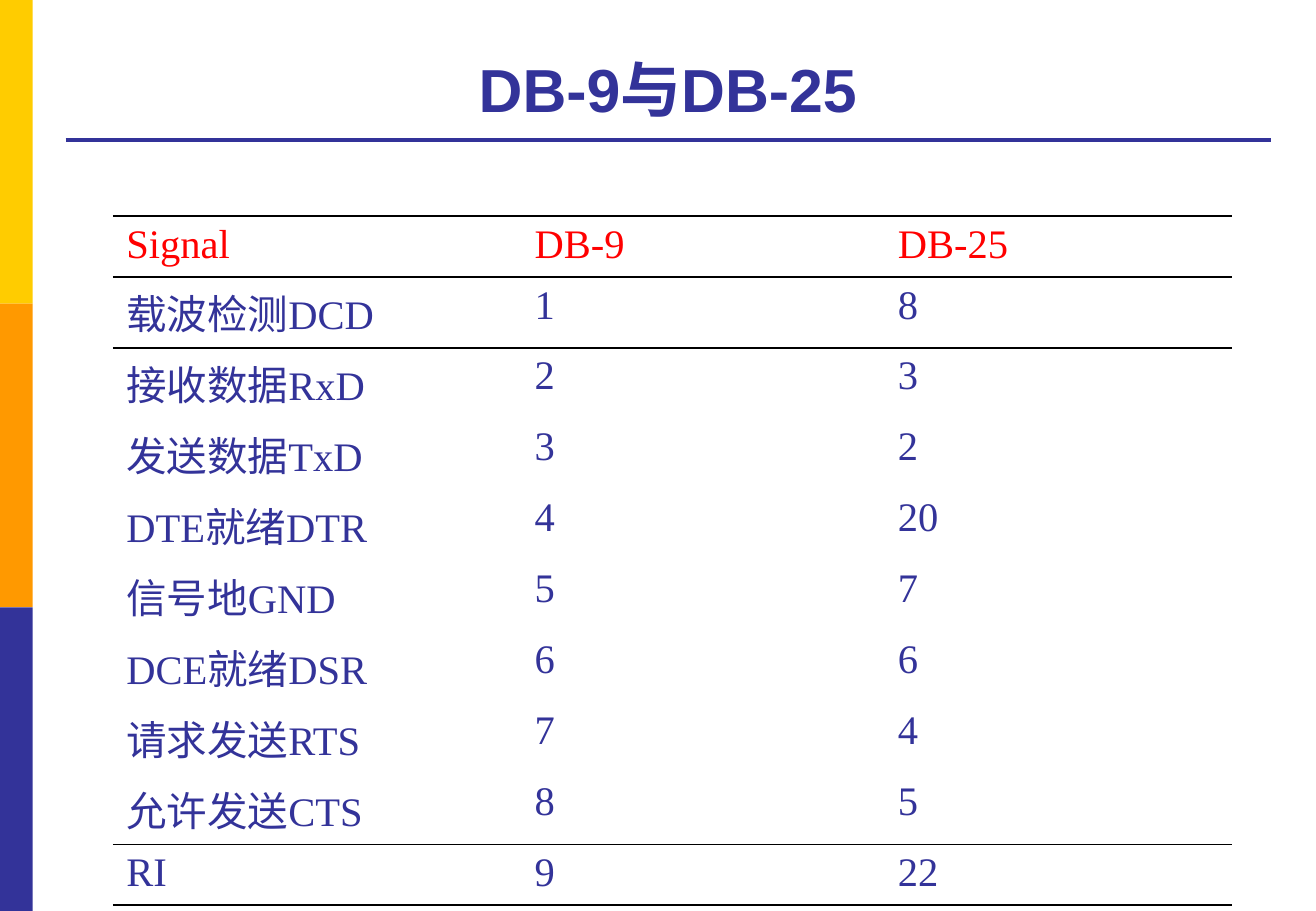
from lxml import etree
from pptx import Presentation
from pptx.dml.color import RGBColor
from pptx.enum.shapes import MSO_CONNECTOR, MSO_SHAPE
from pptx.enum.text import MSO_ANCHOR, PP_ALIGN
from pptx.oxml.ns import qn
from pptx.util import Inches, Pt

NAVY = RGBColor(0x33, 0x33, 0x99)
ORANGE = RGBColor(0xFF, 0x99, 0x00)
YELLOW = RGBColor(0xFF, 0xCC, 0x00)
RED = RGBColor(0xFF, 0x00, 0x00)
BLACK = RGBColor(0x00, 0x00, 0x00)

TITLE = "DB-9与DB-25"
PINOUT = [
    ("Signal", "DB-9", "DB-25"),
    ("载波检测DCD", "1", "8"),
    ("接收数据RxD", "2", "3"),
    ("发送数据TxD", "3", "2"),
    ("DTE就绪DTR", "4", "20"),
    ("信号地GND", "5", "7"),
    ("DCE就绪DSR", "6", "6"),
    ("请求发送RTS", "7", "4"),
    ("允许发送CTS", "8", "5"),
    ("RI", "9", "22"),
]
COLUMN_WIDTHS = (3.36, 2.99, 2.86)
ROW_HEIGHT = 0.5
LAST = len(PINOUT) - 1
ROW_RULES = {
    0: {"a:lnT": 1, "a:lnB": 1},
    1: {"a:lnT": 1},
    LAST - 1: {"a:lnB": 0.75},
    LAST: {"a:lnT": 0.75, "a:lnB": 1},
}
BAND_COLORS = (YELLOW, ORANGE, NAVY)
BAND_HEIGHT = 7.5 / len(BAND_COLORS)
NO_STYLE_NO_GRID = "{2D5ABB26-0587-4C30-8999-92F81FD0307C}"


def add_text(paragraph, text, font_name, size, color, bold=False):
    run = paragraph.add_run()
    run.text = text
    run.font.name = font_name
    run.font.size = Pt(size)
    run.font.bold = bold
    run.font.color.rgb = color


def add_rule(cell, edge, width):
    rule = etree.SubElement(cell._tc.get_or_add_tcPr(), qn(edge), w=str(Pt(width)))
    fill = etree.SubElement(rule, qn("a:solidFill"))
    etree.SubElement(fill, qn("a:srgbClr"), val=str(BLACK))


def add_bands(slide):
    for index, color in enumerate(BAND_COLORS):
        band = slide.shapes.add_shape(
            MSO_SHAPE.RECTANGLE, 0, Inches(index * BAND_HEIGHT),
            Inches(0.27), Inches(BAND_HEIGHT))
        band.shadow.inherit = False
        band.fill.solid()
        band.fill.fore_color.rgb = color
        band.line.fill.background()


def add_title(slide):
    underline = slide.shapes.add_connector(
        MSO_CONNECTOR.STRAIGHT, Inches(0.54), Inches(1.15), Inches(10.46), Inches(1.15))
    underline.line.color.rgb = NAVY
    underline.line.width = Pt(2.25)
    etree.SubElement(underline._element.spPr, qn("a:effectLst"))

    title = slide.shapes.title
    title.left, title.top = Inches(0.54), Inches(0.21)
    title.width, title.height = Inches(9.91), Inches(0.87)
    title.text_frame.vertical_anchor = MSO_ANCHOR.BOTTOM
    heading = title.text_frame.paragraphs[0]
    heading.alignment = PP_ALIGN.CENTER
    add_text(heading, TITLE, "Arial", 36, NAVY, bold=True)


def add_pinout(slide):
    frame = slide.shapes.add_table(
        len(PINOUT), len(COLUMN_WIDTHS), Inches(0.93), Inches(1.78),
        Inches(sum(COLUMN_WIDTHS)), Inches(ROW_HEIGHT * len(PINOUT)))
    pinout = frame.table
    pinout.horz_banding = False
    pinout._tbl.tblPr.find(qn("a:tableStyleId")).text = NO_STYLE_NO_GRID
    for column, width in zip(pinout.columns, COLUMN_WIDTHS):
        column.width = Inches(width)
    for row, entries in enumerate(PINOUT):
        pinout.rows[row].height = Inches(ROW_HEIGHT)
        for column, entry in enumerate(entries):
            cell = pinout.cell(row, column)
            cell.margin_left = cell.margin_right = Inches(0.11)
            for edge, width in ROW_RULES.get(row, {}).items():
                add_rule(cell, edge, width)
            cell.fill.background()
            add_text(cell.text_frame.paragraphs[0], entry, "Times New Roman", 24,
                     NAVY if row else RED)


def main():
    deck = Presentation()
    deck.slide_width, deck.slide_height = Inches(10.83), Inches(7.5)
    slide = deck.slides.add_slide(deck.slide_layouts[5])
    add_bands(slide)
    add_title(slide)
    add_pinout(slide)
    deck.save("out.pptx")


if __name__ == "__main__":
    main()
